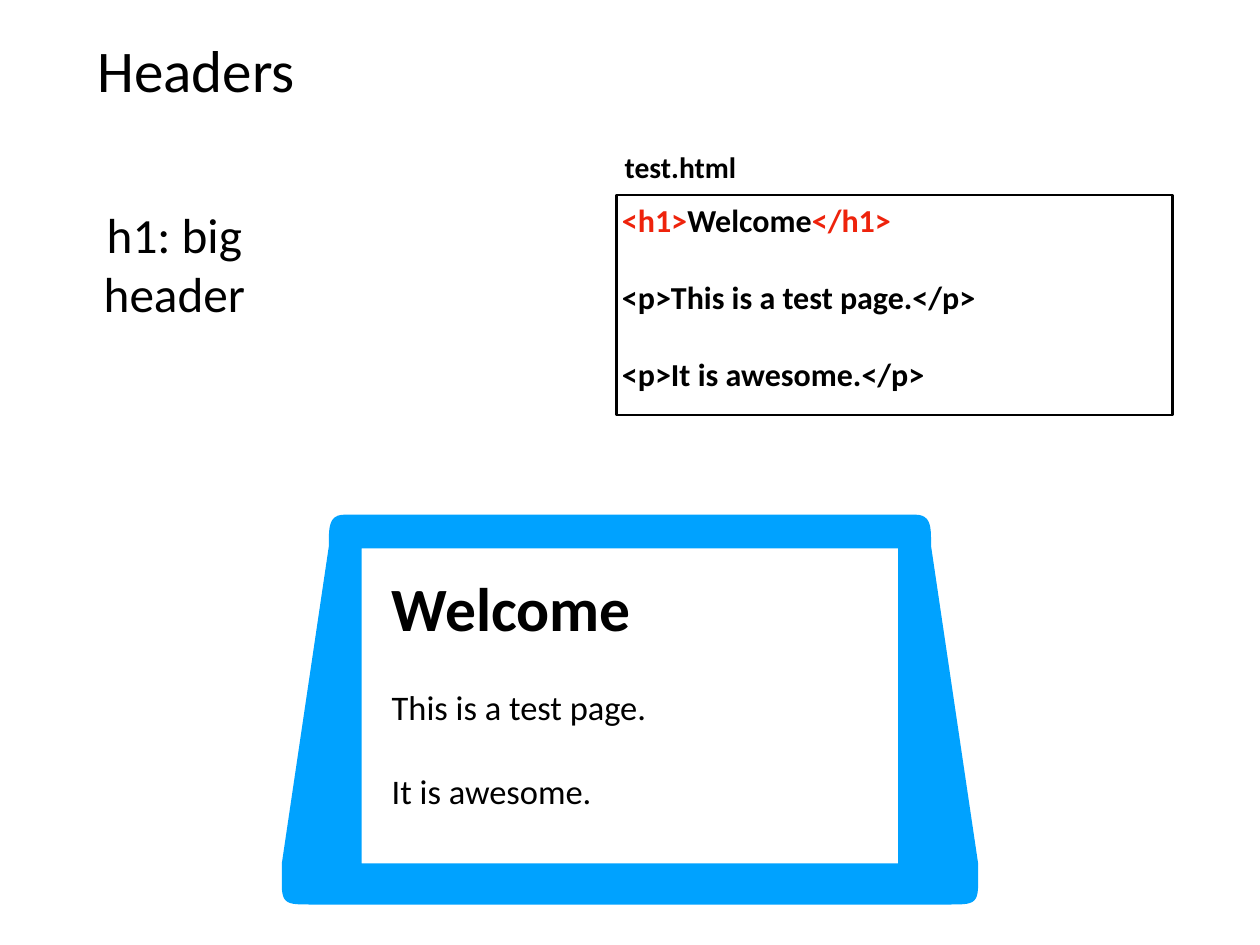
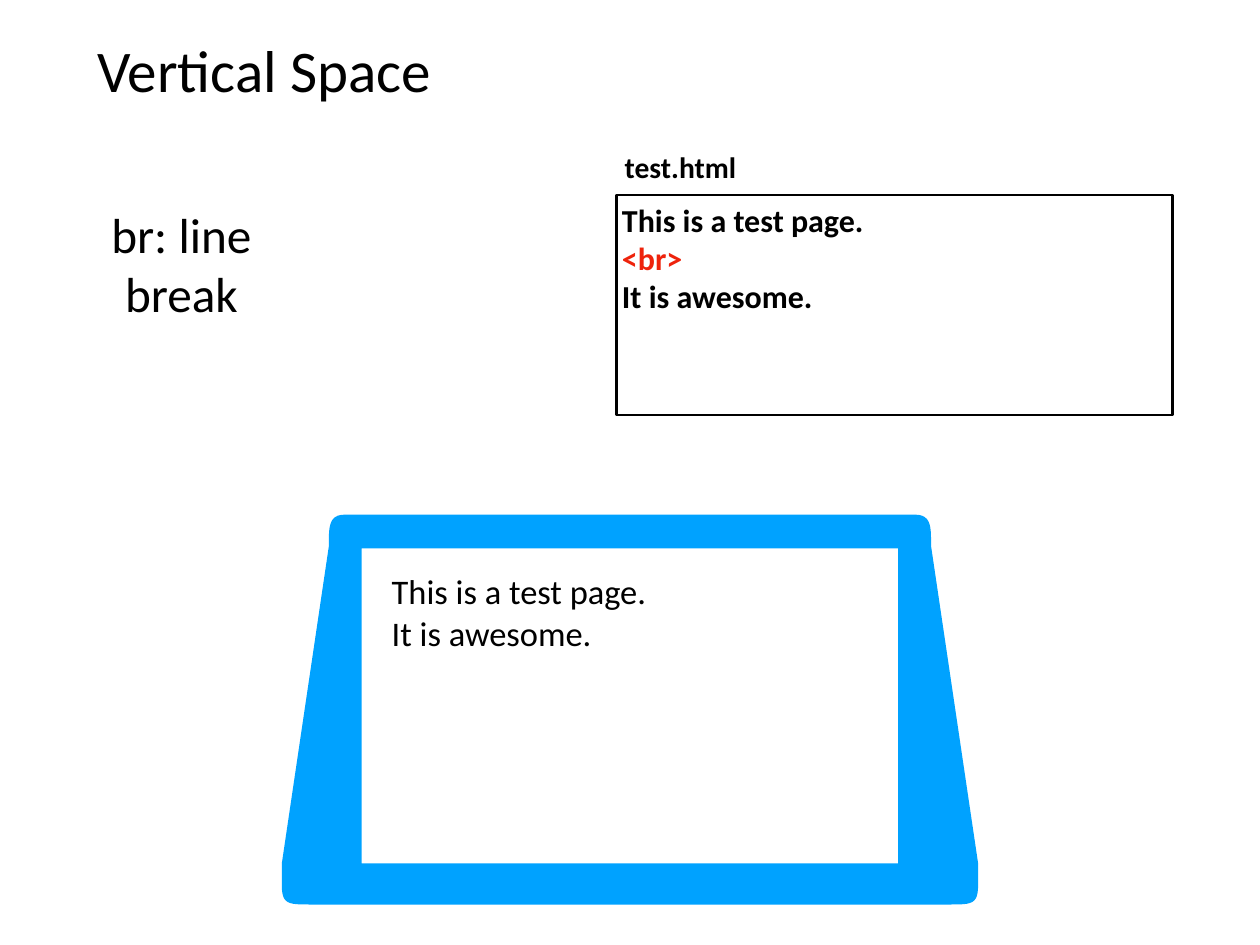
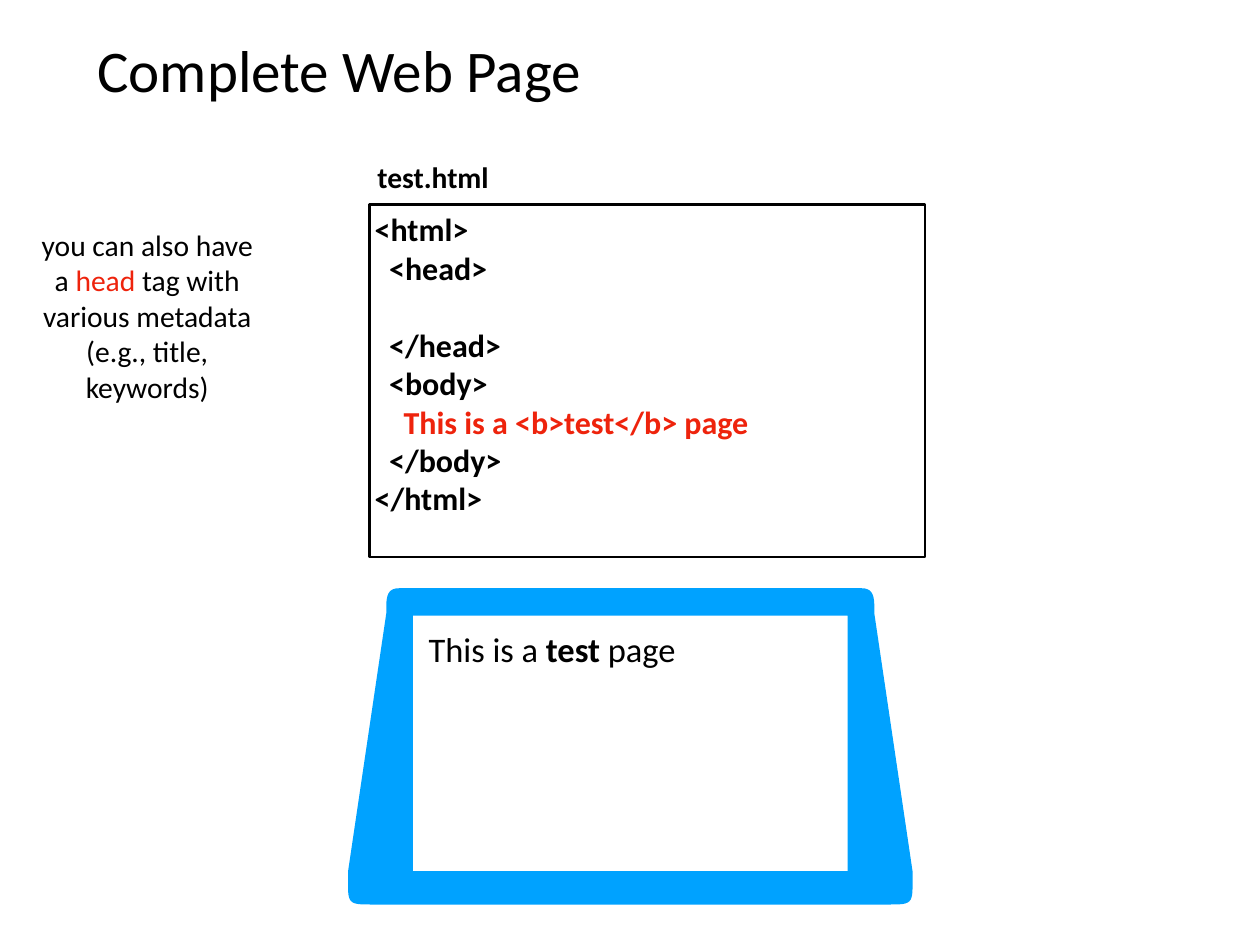
from dataclasses import dataclass

from pptx import Presentation
from pptx.dml.color import RGBColor
from pptx.enum.shapes import MSO_SHAPE
from pptx.enum.text import MSO_ANCHOR, PP_ALIGN
from pptx.util import Cm, Pt

RECTANGLE = MSO_SHAPE.RECTANGLE
TOP, MIDDLE = MSO_ANCHOR.TOP, MSO_ANCHOR.MIDDLE
LEFT, CENTER = PP_ALIGN.LEFT, PP_ALIGN.CENTER


@dataclass(frozen=True)
class Theme:
    font: str = "Calibri"
    ink: RGBColor = RGBColor(0x00, 0x00, 0x00)
    paper: RGBColor = RGBColor(0xFF, 0xFF, 0xFF)
    accent: RGBColor = RGBColor(0xEE, 0x23, 0x0C)
    laptop: RGBColor = RGBColor(0x00, 0xA2, 0xFF)
    title: int = 48
    heading: int = 50
    note: int = 40
    small_note: int = 24
    screen: int = 28
    code: int = 26
    label: int = 24
    border: int = 2
    inset: float = 0.15
    line_height: float = 1.22


@dataclass(frozen=True)
class Box:
    """A region of the page, in centimetres."""
    left: float
    top: float
    width: float
    height: float

    def lengths(self):
        return Cm(self.left), Cm(self.top), Cm(self.width), Cm(self.height)


THEME = Theme()
PAGE_WIDTH, PAGE_HEIGHT = 36.12, 27.1
TITLE_BOX = Box(2.64, 0.71, 30.84, 2.51)
CODE_BOX = Box(17.68, 5.59, 15.93, 6.32)
LAPTOP_BOX = Box(8.08, 14.76, 19.96, 11.18)

# Laptop outline on a 19.96 by 11.18 grid: left half, mirrored for the right
GRID_WIDTH, GRID_HEIGHT = 19.96, 11.18
LID_CORNER = ((1.8, 0), (1.32, 0), (1.35, 0.41), (1.35, 0.89))
BASE_SIDE = ((0, 10), (0, 10), (0, 10.28), (0, 10.62))
BASE_CORNER = ((0, 10.62), (0, 11.18), (0.18, 11.18), (0.84, 11.18))
SCREEN_LEFT, SCREEN_TOP, SCREEN_BOTTOM = 2.29, 0.97, 10
CURVE_STEPS = 12


# ---- Text ----
def accent(text):
    return text, {"color": THEME.accent}


def bold(text):
    return text, {"bold": True}


def heading(text):
    return text, {"bold": True, "size": THEME.heading}


def write(shape, lines, size, weight=False, align=LEFT, anchor=TOP):
    """Fill a shape with lines; a line is a string or a list of spans.

    None leaves one line of space before the next paragraph.
    """
    frame = shape.text_frame
    frame.word_wrap = True
    frame.vertical_anchor = anchor
    frame.margin_left = frame.margin_right = Cm(THEME.inset)
    frame.margin_top = frame.margin_bottom = Cm(THEME.inset)
    para, gap = None, 0
    for line in lines:
        if line is None:
            gap += size * THEME.line_height
            continue
        para = frame.paragraphs[0] if para is None else frame.add_paragraph()
        para.alignment = align
        if gap:
            para.space_before = Pt(round(gap, 1))
            gap = 0
        for span in [line] if isinstance(line, str) else line:
            text, style = (span, {}) if isinstance(span, str) else span
            run = para.add_run()
            run.text = text
            run.font.name = THEME.font
            run.font.size = Pt(style.get("size", size))
            run.font.bold = style.get("bold", weight)
            run.font.color.rgb = style.get("color", THEME.ink)


def add_text(page, box, lines, size, **style):
    write(page.shapes.add_textbox(*box.lengths()), lines, size, **style)


# ---- Laptop ----
def curve(start, first, second, end):
    """Points along a cubic curve, both ends included."""
    points = []
    for step in range(CURVE_STEPS + 1):
        t = step / CURVE_STEPS
        u = 1 - t
        points.append(tuple(
            u ** 3 * a + 3 * u * u * t * b + 3 * u * t * t * c + t ** 3 * d
            for a, b, c, d in zip(start, first, second, end)))
    return points


def mirrored(half):
    return half + [(GRID_WIDTH - x, y) for x, y in reversed(half)]


def add_laptop(page, box, lines, pad):
    """Draw a laptop in the box, with text padded from the screen corner."""
    scale_x, scale_y = box.width / GRID_WIDTH, box.height / GRID_HEIGHT

    def place(points):
        return [(Cm(box.left + x * scale_x), Cm(box.top + y * scale_y))
                for x, y in points]

    body = place(mirrored(curve(*LID_CORNER) + curve(*BASE_SIDE)
                          + curve(*BASE_CORNER)))
    screen = place(mirrored([(SCREEN_LEFT, SCREEN_TOP),
                             (SCREEN_LEFT, SCREEN_BOTTOM)]))
    builder = page.shapes.build_freeform(*body[0])
    builder.add_line_segments(body[1:], close=True)
    builder.move_to(*screen[0])
    builder.add_line_segments(screen[1:], close=True)
    laptop = builder.convert_to_shape()
    laptop.shadow.inherit = False
    laptop.fill.solid()
    laptop.fill.fore_color.rgb = THEME.laptop
    laptop.line.fill.background()

    left, top = SCREEN_LEFT * scale_x, SCREEN_TOP * scale_y
    text_box = Box(box.left + left + pad[0], box.top + top + pad[1],
                   box.width - 2 * (left + pad[0]),
                   (SCREEN_BOTTOM - SCREEN_TOP) * scale_y - 2 * pad[1])
    add_text(page, text_box, lines, THEME.screen)


# ---- Code listing ----
def add_code(page, box, lines):
    """Draw the bordered listing with its file name above it."""
    panel = page.shapes.add_shape(RECTANGLE, *box.lengths())
    panel.shadow.inherit = False
    panel.fill.solid()
    panel.fill.fore_color.rgb = THEME.paper
    panel.line.color.rgb = THEME.ink
    panel.line.width = Pt(THEME.border)
    write(panel, lines, THEME.code, weight=True)

    label_box = Box(box.left + 0.08, box.top - 1.45, 4.29, 1.27)
    add_text(page, label_box, ["test.html"], THEME.label,
             weight=True, anchor=MIDDLE)


# ---- Slide ----
def add_page(deck, title, note, note_box, code, screen, note_size=THEME.note,
             code_box=CODE_BOX, laptop_box=LAPTOP_BOX, pad=(0.71, 0.48)):
    page = deck.slides.add_slide(deck.slide_layouts[6])
    add_text(page, TITLE_BOX, [title], THEME.title, anchor=MIDDLE)
    add_laptop(page, laptop_box, screen, pad)
    add_code(page, code_box, code)
    add_text(page, note_box, note, note_size, align=CENTER, anchor=MIDDLE)


def main():
    deck = Presentation()
    deck.slide_width, deck.slide_height = Cm(PAGE_WIDTH), Cm(PAGE_HEIGHT)

    add_page(
        deck, "Headers",
        note=["h1: big header"],
        note_box=Box(2.6, 5.66, 4.8, 3.76),
        code=[[accent("<h1>"), "Welcome", accent("</h1>")], None,
              "<p>This is a test page.</p>", None,
              "<p>It is awesome.</p>"],
        screen=[[heading("Welcome")], None,
                "This is a test page.", None,
                "It is awesome."])

    add_page(
        deck, "Vertical Space",
        note=["br: line break"],
        note_box=Box(2.8, 5.66, 4.8, 3.76),
        code=["This is a test page.", [accent("<br>")], "It is awesome."],
        screen=["This is a test page.", "It is awesome."])

    add_page(
        deck, "Complete Web Page",
        note=["you can also have",
              ["a ", accent("head"), " tag with"],
              "various metadata",
              "(e.g., title, keywords)"],
        note_box=Box(0.92, 6.3, 6.6, 5.5),
        note_size=THEME.small_note,
        code=["<html>", "  <head>", None, "  </head>", "  <body>",
              [accent("    This is a <b>test</b> page")],
              "  </body>", "</html>"],
        code_box=Box(10.59, 5.87, 15.93, 10.11),
        screen=[["This is a ", bold("test"), " page"]],
        laptop_box=Box(9.98, 16.87, 16.18, 9.07),
        pad=(0.3, 0.2))

    deck.save("out.pptx")


if __name__ == "__main__":
    main()
